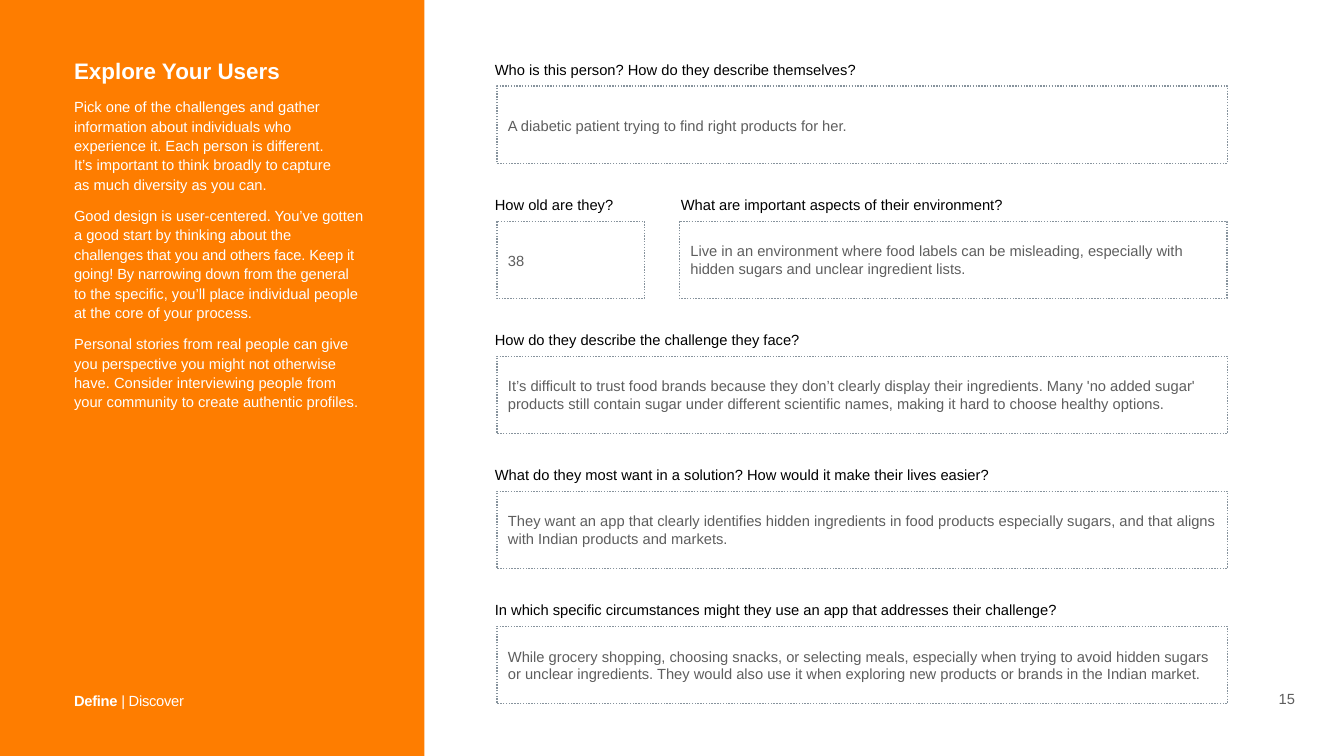
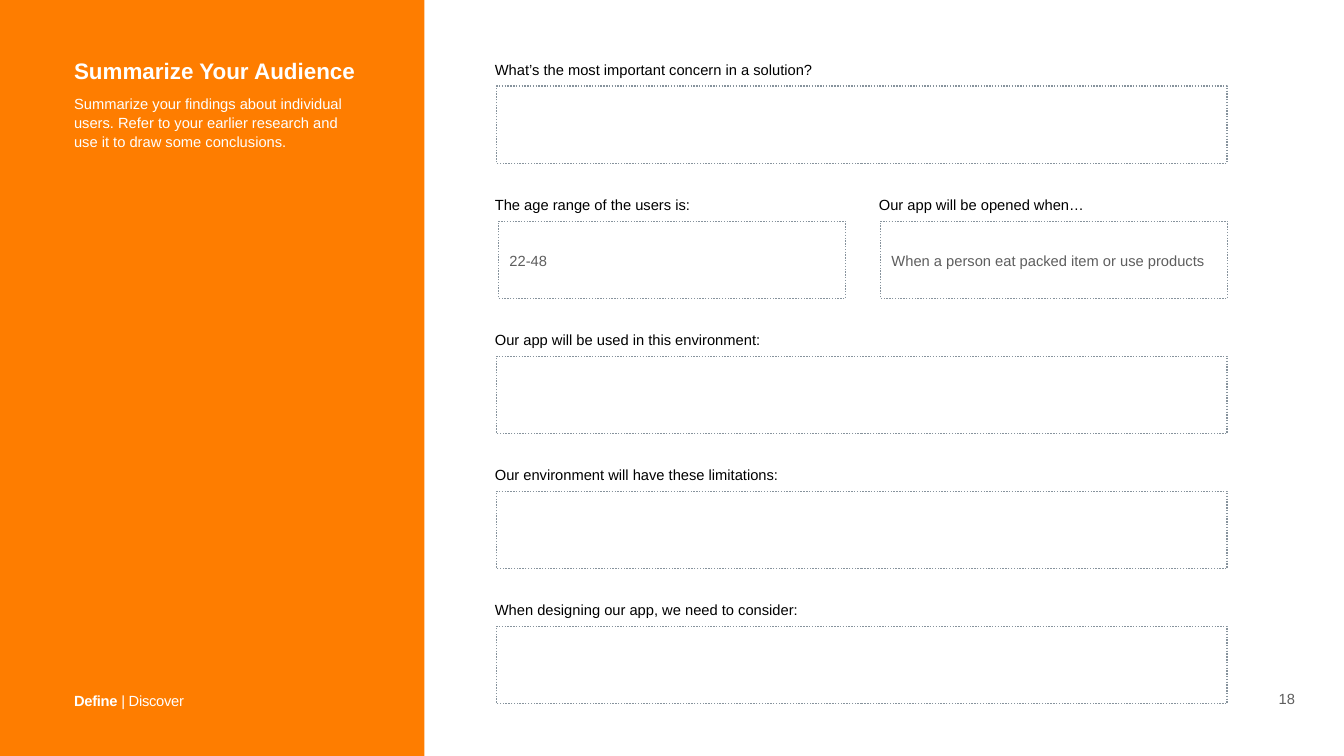
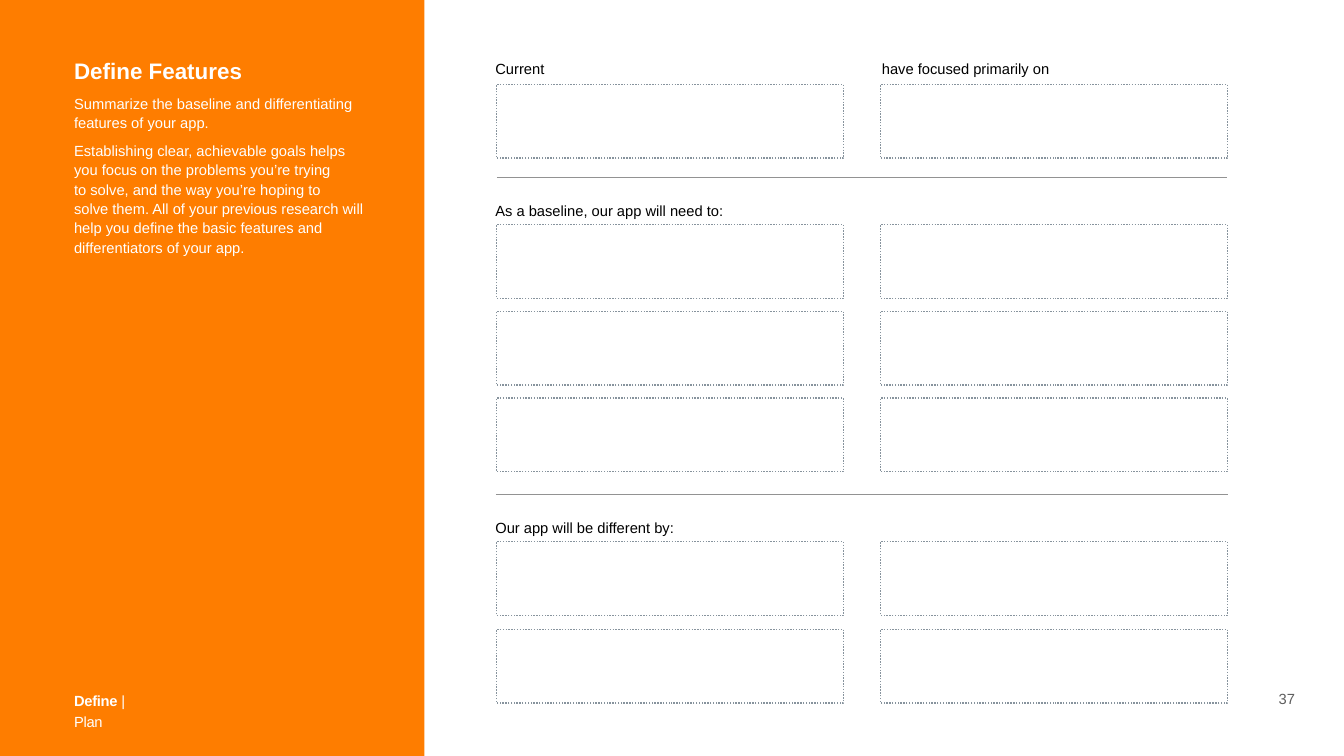
from dataclasses import dataclass

from lxml import etree
from pptx import Presentation
from pptx.dml.color import RGBColor
from pptx.enum.dml import MSO_LINE
from pptx.enum.shapes import MSO_CONNECTOR, MSO_SHAPE
from pptx.enum.text import MSO_ANCHOR, PP_ALIGN
from pptx.oxml.ns import qn
from pptx.util import Pt

RECT = MSO_SHAPE.RECTANGLE
STRAIGHT = MSO_CONNECTOR.STRAIGHT
DOTS = MSO_LINE.ROUND_DOT
TOP, MIDDLE, BOTTOM = MSO_ANCHOR.TOP, MSO_ANCHOR.MIDDLE, MSO_ANCHOR.BOTTOM
LEFT, CENTER = PP_ALIGN.LEFT, PP_ALIGN.CENTER
PX = 9144  # 100 px to the inch


@dataclass(frozen=True)
class Theme:
    font: str = "Arial"
    band: RGBColor = RGBColor(0xFE, 0x7D, 0x00)
    white: RGBColor = RGBColor(0xFF, 0xFF, 0xFF)
    black: RGBColor = RGBColor(0x00, 0x00, 0x00)
    grey: RGBColor = RGBColor(0x5E, 0x5E, 0x5E)
    edge: RGBColor = RGBColor(0x87, 0x93, 0x9D)
    rule: RGBColor = RGBColor(0x92, 0x92, 0x92)
    title: int = 32
    text: int = 21


theme = Theme()


def px(*sizes):
    return [size * PX for size in sizes]


def write(shape, paras, color, inset, anchor=TOP, line=1.1, gap=0,
          align=LEFT, wrap=True):
    """Fill a shape with paragraphs, each a list of (text, size, bold, tracking)."""
    frame = shape.text_frame
    frame.word_wrap = wrap
    frame.vertical_anchor = anchor
    frame.margin_left = frame.margin_right = inset * PX
    frame.margin_top = frame.margin_bottom = inset * PX
    for i, runs in enumerate(paras):
        para = frame.add_paragraph() if i else frame.paragraphs[0]
        para.alignment = align
        para.line_spacing = 1.0 if runs[0][1] == theme.title else line
        if i:
            para.space_before = Pt(gap)
        for text, size, bold, track in runs:
            for j, part in enumerate(text.split("\n")):
                if j:
                    para.add_line_break()
                run = para.add_run()
                run.text = part
                font = run.font
                font.name, font.size, font.bold = theme.font, Pt(size), bold
                font.color.rgb = color
                if track:
                    run._r.get_or_add_rPr().set("spc", str(track))


# Grid of the answer area
COL, HALF, WIDE = 985, 1747, 1450
SLIM, HIGH, LOW = 689, 153, 146
rows = [171 + 268 * i for i in range(5)]
heads = [113 + 268 * i for i in range(5)]

# labels: left, top, text; boxes: left, top, width, height, line spacing, text
users = dict(
    title="Explore Your Users", gap=17, page="15", stage="Discover", foot=240,
    body=[
        [("Pick one of the challenges and gather information about individuals "
          "who experience it. Each person is different. \nIt’s important to think "
          "broadly to capture\nas much diversity as you can.", 0)],
        [("Good design is user-centered. You’ve gotten a good start by thinking "
          "about the ", 0),
         ("challenges that you and others face. Keep it going! By narrowing down "
          "from the general ", -20),
         ("to the specific, you’ll place individual people at the core of your "
          "process.", 0)],
        [("Personal stories from real people can give you perspective you might "
          "not otherwise have. Consider interviewing people from your community "
          "to create authentic profiles.", 0)],
    ],
    labels=[
        (976, heads[0], "Who is this person? How do they describe themselves?"),
        (976, heads[1], "How old are they?"),
        (1345, heads[1], "What are important aspects of their environment?"),
        (976, heads[2], "How do they describe the challenge they face?"),
        (976, heads[3], "What do they most want in a solution? How would it make "
                        "their lives easier?"),
        (976, heads[4], "In which specific circumstances might they use an app "
                        "that addresses their challenge?"),
    ],
    boxes=[
        (COL + 1, rows[0], WIDE, HIGH, 1.1,
         "A diabetic patient trying to find right products for her."),
        (COL + 1, rows[1], 293, HIGH, 1.1, "38"),
        (1348, rows[1], 1087, HIGH, 1.0,
         "Live in an environment where food labels can be misleading, especially "
         "with hidden sugars and unclear ingredient lists."),
        (COL + 1, rows[2], WIDE, HIGH, 1.0,
         "It’s difficult to trust food brands because they don’t clearly display "
         "their ingredients. Many 'no added sugar' products still contain sugar "
         "under different scientific names, making it hard to choose healthy "
         "options."),
        (COL + 1, rows[3], WIDE, HIGH, 1.0,
         "They want an app that clearly identifies hidden ingredients in food "
         "products especially sugars, and that aligns with Indian products and "
         "markets."),
        (COL + 1, rows[4], WIDE, HIGH, 1.0,
         "While grocery shopping, choosing snacks, or selecting meals, especially "
         "when trying to avoid hidden sugars or unclear ingredients. They would "
         "also use it when exploring new products or brands in the Indian "
         "market."),
    ],
    rules=[],
)

crowd = dict(
    title="Summarize Your Audience", gap=12, page="18", stage="Discover", foot=240,
    body=[
        [("Summarize your findings about individual users. Refer to your earlier "
          "research and use it to draw some conclusions.", 0)],
    ],
    labels=[
        (976, heads[0] + 1, "What’s the most important concern in a solution?"),
        (976, heads[1], "The age range of the users is:"),
        (1738, heads[1], "Our app will be opened when…"),
        (976, heads[2], "Our app will be used in this environment:"),
        (976, heads[3], "Our environment will have these limitations:"),
        (976, heads[4], "When designing our app, we need to consider:"),
    ],
    boxes=[(COL, rows[i], WIDE, HIGH, 1.1, "") for i in (0, 2, 3, 4)] + [
        (COL + 4, rows[1], SLIM, HIGH, 1.1, "22-48"),
        (HALF, rows[1], SLIM, HIGH, 1.1,
         "When a person eat packed item or use products"),
    ],
    rules=[],
)

features = dict(
    title="Define Features", gap=12, page="37", stage="Plan", foot=175,
    body=[
        [("Summarize the baseline and differentiating features of your app.", 0)],
        [("Establishing clear, achievable goals helps you focus on the problems "
          "you’re trying \nto solve, and the way you’re hoping to \nsolve them. "
          "All of your previous research will help you define the basic features "
          "and differentiators of your app.", 0)],
    ],
    labels=[
        (977, 112, "Current"),
        (1744, 112, "have focused primarily on"),
        (977, 394, "As a baseline, our app will need to:"),
        (977, 1023, "Our app will be different by:"),
    ],
    boxes=[(left, top, SLIM, LOW, 1.1, "")
           for top in (168, 446, 618, 790, 1075, 1249)
           for left in (COL, HALF)],
    rules=[(986, 351, 2434), (984, 980, 2436)],
)

deck = Presentation()
deck.slide_width, deck.slide_height = px(2667, 1500)

for page in (users, crowd, features):
    slide = deck.slides.add_slide(deck.slide_layouts[6])
    shapes = slide.shapes

    band = shapes.add_shape(RECT, *px(-1, -1, 843, 1502))
    band.shadow.inherit = False
    band.fill.solid()
    band.fill.fore_color.rgb = theme.band
    band.line.fill.background()

    side = [[(page["title"], theme.title, True, 0)]]
    side += [[(text, theme.text, False, track) for text, track in runs]
             for runs in page["body"]]
    write(shapes.add_textbox(*px(139, 106, 590, 691)), side, theme.white, 8,
          gap=page["gap"])

    foot = [("Define", theme.text, True, -40),
            (f" | {page['stage']}", theme.text, False, -40)]
    write(shapes.add_textbox(*px(139, 1358, page["foot"], 51)), [foot],
          theme.white, 8, line=1.2)
    write(shapes.add_textbox(*px(2529, 1361, 49, 50)),
          [[(page["page"], theme.text, False, 0)]], theme.grey, 8,
          anchor=BOTTOM, line=1.0, align=CENTER, wrap=False)

    for left, top, text in page["labels"]:
        width = min(1406, 2430 - left)
        write(shapes.add_textbox(*px(left, top, width, 45)),
              [[(text, theme.text, False, 0)]], theme.black, 6, anchor=MIDDLE)

    for left, top, width, height, line, text in page["boxes"]:
        box = shapes.add_shape(RECT, *px(left, top, width, height))
        box.shadow.inherit = False
        box.fill.solid()
        box.fill.fore_color.rgb = theme.white
        box.line.color.rgb = theme.edge
        box.line.width = Pt(2)
        box.line.dash_style = DOTS
        if text:
            write(box, [[(text, theme.text, False, 0)]], theme.grey, 22,
                  anchor=MIDDLE, line=line)

    for start, top, end in page["rules"]:
        rule = shapes.add_connector(STRAIGHT, *px(start, top, end, top))
        rule.line.color.rgb = theme.rule
        rule.line.width = Pt(1)
        etree.SubElement(rule._element.spPr, qn("a:effectLst"))

deck.save("out.pptx")
